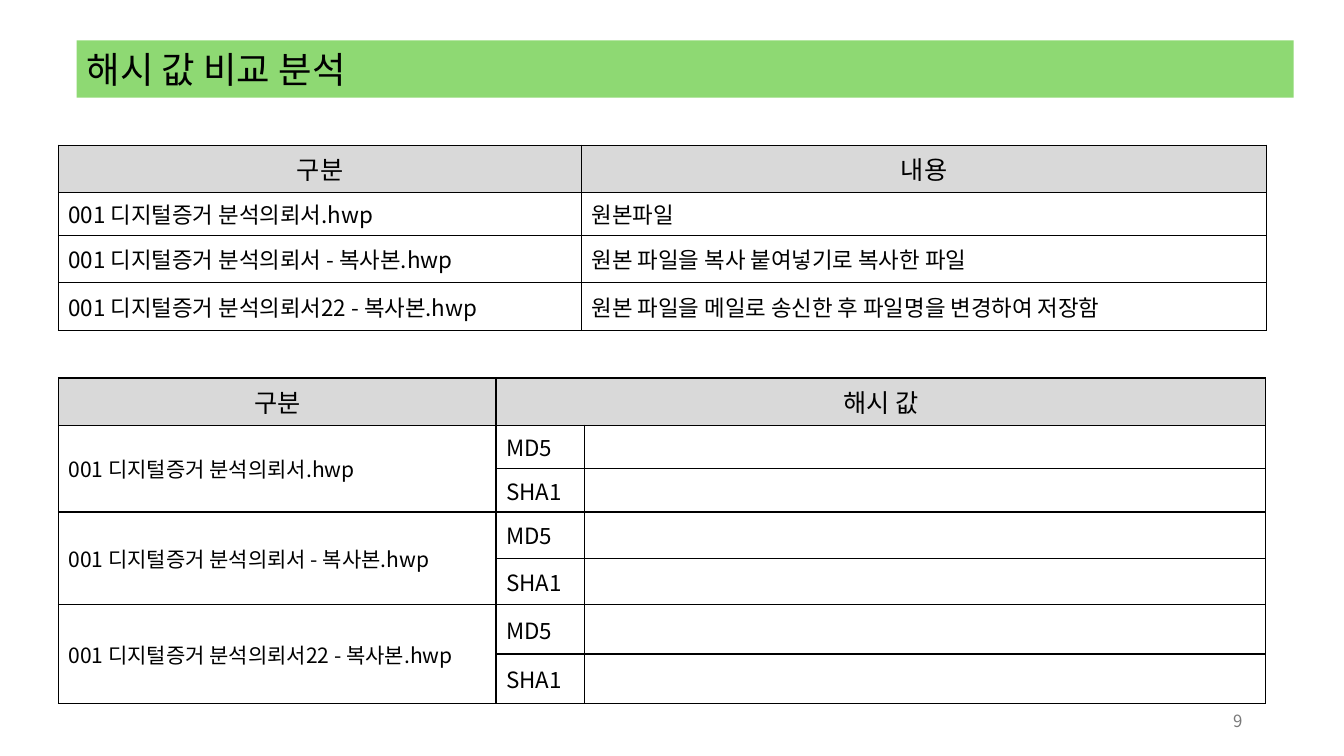
from lxml.etree import SubElement
from pptx import Presentation
from pptx.dml.color import RGBColor
from pptx.enum.text import MSO_ANCHOR, MSO_AUTO_SIZE, PP_ALIGN
from pptx.oxml.ns import qn
from pptx.util import Inches, Pt

FONT = "Noto Sans CJK KR"
BLACK = RGBColor(0x00, 0x00, 0x00)
GREEN = RGBColor(0x8E, 0xD9, 0x73)
HEADER_GRAY = RGBColor(0xD9, 0xD9, 0xD9)
NUMBER_GRAY = RGBColor(0x79, 0x79, 0x79)
TABLE_LEFT = 0.58
FILES = [
    ("001 디지털증거 분석의뢰서.hwp", "원본파일"),
    ("001 디지털증거 분석의뢰서 - 복사본.hwp", "원본 파일을 복사 붙여넣기로 복사한 파일"),
    ("001 디지털증거 분석의뢰서22 - 복사본.hwp", "원본 파일을 메일로 송신한 후 파일명을 변경하여 저장함"),
]


def write_text(holder, text, size=16, color=BLACK, align=PP_ALIGN.LEFT):
    """Fill a shape or table cell with one formatted, vertically centred line."""
    holder.text_frame.word_wrap = True
    holder.text_frame.vertical_anchor = MSO_ANCHOR.MIDDLE
    paragraph = holder.text_frame.paragraphs[0]
    paragraph.alignment = align
    run = paragraph.add_run()
    run.text = text
    run.font.size = Pt(size)
    run.font.name = FONT
    run.font.color.rgb = color
    SubElement(run.font._element, qn("a:ea"), typeface=FONT)


def add_grid(slide, top, column_widths, row_heights):
    """Add a table with black borders and a gray header row."""
    frame = slide.shapes.add_table(
        len(row_heights), len(column_widths), Inches(TABLE_LEFT), Inches(top),
        Inches(sum(column_widths)), Inches(sum(row_heights)))
    table = frame.table
    table.first_row = table.horz_banding = False
    for column, width in zip(table.columns, column_widths):
        column.width = Inches(width)
    for row_index, (row, height) in enumerate(zip(table.rows, row_heights)):
        row.height = Inches(height)
        for cell in row.cells:
            cell.vertical_anchor = MSO_ANCHOR.MIDDLE
            properties = cell._tc.get_or_add_tcPr()
            for side in ("a:lnL", "a:lnR", "a:lnT", "a:lnB"):
                line = SubElement(properties, qn(side), w=str(Pt(1)))
                line_fill = SubElement(line, qn("a:solidFill"))
                SubElement(line_fill, qn("a:srgbClr"), val=str(BLACK))
            if row_index == 0:
                cell.fill.solid()
                cell.fill.fore_color.rgb = HEADER_GRAY
            else:
                cell.fill.background()
    return table


presentation = Presentation()
presentation.slide_width = Inches(13.33)
presentation.slide_height = Inches(7.5)
slide = presentation.slides.add_slide(presentation.slide_layouts[5])

title = slide.shapes.title
title.left, title.top = Inches(0.76), Inches(0.4)
title.width, title.height = Inches(12.07), Inches(0.57)
title.fill.solid()
title.fill.fore_color.rgb = GREEN
title.text_frame.auto_size = MSO_AUTO_SIZE.NONE
write_text(title, "해시 값 비교 분석", size=26)

page_number = slide.shapes.add_textbox(Inches(9.42), Inches(6.95), Inches(3), Inches(0.4))
write_text(page_number, "9", size=12, color=NUMBER_GRAY, align=PP_ALIGN.RIGHT)

file_table = add_grid(slide, 1.44, [5.19, 6.79], [0.47, 0.43, 0.46, 0.48])
hash_table = add_grid(slide, 3.75, [4.34, 0.88, 6.75],
                      [0.47, 0.43, 0.43, 0.46, 0.46, 0.49, 0.49])
hash_table.cell(0, 1).merge(hash_table.cell(0, 2))

for table, headings in ((file_table, ("구분", "내용")), (hash_table, ("구분", "해시 값"))):
    for column_index, heading in enumerate(headings):
        write_text(table.cell(0, column_index), heading, size=18, align=PP_ALIGN.CENTER)

for file_index, (file_name, description) in enumerate(FILES):
    write_text(file_table.cell(file_index + 1, 0), file_name)
    write_text(file_table.cell(file_index + 1, 1), description)

    first_row = 1 + 2 * file_index
    hash_table.cell(first_row, 0).merge(hash_table.cell(first_row + 1, 0))
    write_text(hash_table.cell(first_row, 0), file_name, size=15)
    for offset, algorithm in enumerate(("MD5", "SHA1")):
        write_text(hash_table.cell(first_row + offset, 1), algorithm)

presentation.save("out.pptx")
